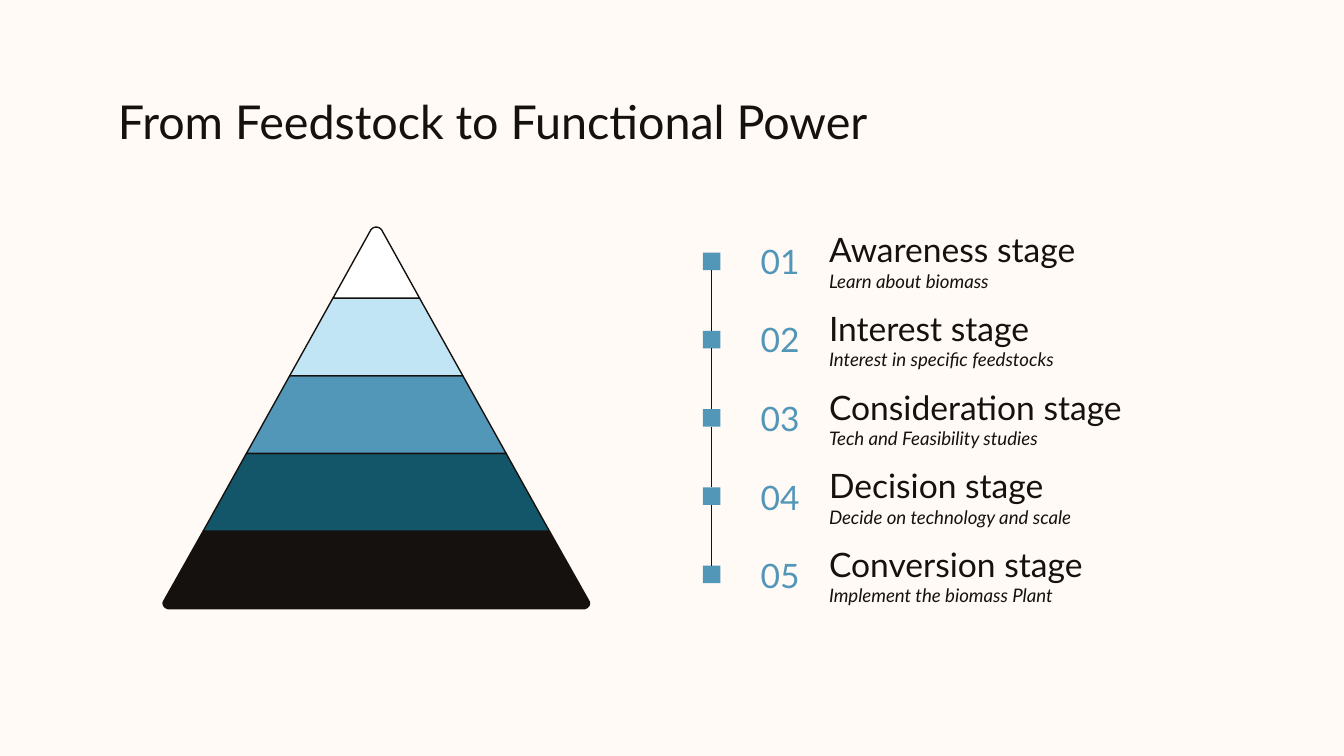
from dataclasses import dataclass

import pptx
import pptx.dml.color
import pptx.enum.shapes
import pptx.enum.text
import pptx.oxml
import pptx.oxml.ns
import pptx.util

Inches = pptx.util.Inches
Point = tuple[float, float]

INK, BLUE, CREAM = "15110E", "5296B8", "FFFAF6"
FONT = "Lato"
SLIDE_WIDTH = 10

# Pyramid geometry: where the straight sides would meet, and the base
CENTER, APEX, BASE, HALF_BASE = 2.8, 1.64, 4.53, 1.61
# Timeline geometry
FIRST_ROW, LAST_ROW, ROW_HEIGHT = 1.69, 4.03, 0.5
FIRST_MARKER, LAST_MARKER = 1.88, 4.21
MARKER_LEFT, MARKER_SIZE = 5.23, 0.13


@dataclass
class Stage:
    title: str
    detail: str
    band_fill: str


STAGES = [
    Stage("Awareness stage", "Learn about biomass", "FFFFFF"),
    Stage("Interest stage", "Interest in specific feedstocks", "C2E5F5"),
    Stage("Consideration stage", "Tech and Feasibility studies", BLUE),
    Stage("Decision stage", "Decide on technology and scale", "135669"),
    Stage("Conversion stage", "Implement the biomass Plant", INK),
]


def paint(color_format, hex_color: str) -> None:
    color_format.rgb = pptx.dml.color.RGBColor.from_string(hex_color)


def fill_with(target, hex_color: str) -> None:
    target.fill.solid()
    paint(target.fill.fore_color, hex_color)


def add_text(slide, text: str, left: float, top: float, width: float, height: float, *,
             size: float, color: str = INK, align: str = "LEFT",
             anchor: str = "MIDDLE", detail: str = "") -> None:
    """Add a text box, with an optional small italic line below the text."""
    box = slide.shapes.add_textbox(Inches(left), Inches(top), Inches(width), Inches(height))
    frame = box.text_frame
    frame.word_wrap = True
    frame.margin_top = frame.margin_bottom = Inches(0.1)
    frame.vertical_anchor = pptx.enum.text.MSO_ANCHOR[anchor]
    frame.text = f"{text}\n{detail}" if detail else text
    for index, paragraph in enumerate(frame.paragraphs):
        paragraph.alignment = pptx.enum.text.PP_ALIGN[align]
        for run in paragraph.runs:
            run.font.name = FONT
            run.font.size = pptx.util.Pt(10 if index else size)
            run.font.italic = index > 0
            paint(run.font.color, color)


def curve(start: Point, pull_a: Point, pull_b: Point, end: Point, steps: int = 12) -> list[Point]:
    """Sample a cubic Bézier curve."""
    points = []
    for step in range(steps + 1):
        t = step / steps
        weights = ((1 - t) ** 3, 3 * t * (1 - t) ** 2, 3 * t * t * (1 - t), t ** 3)
        points.append(tuple(sum(w * p[axis] for w, p in zip(weights, (start, pull_a, pull_b, end)))
                            for axis in (0, 1)))
    return points


def edge(level: int) -> Point:
    """Half width and height on the slide of a boundary between bands."""
    share = level / len(STAGES)
    return HALF_BASE * share, APEX + (BASE - APEX) * share


def add_band(slide, level: int, hex_color: str) -> None:
    """Draw one band from its right side and the mirrored left side."""
    upper, lower = [edge(level)], [edge(level + 1)]
    if level == 0:
        upper = curve((0, 1.69), (0.02, 1.69), (0.03, 1.7), (0.04, 1.71))
    if level == len(STAGES) - 1:
        lower = curve((1.58, 4.47), (1.6, 4.5), (1.57, 4.53), (1.54, 4.53))
    right = upper + lower
    outline = [(CENTER + x, y) for x, y in right] + [(CENTER - x, y) for x, y in reversed(right)]
    corners = [(Inches(x), Inches(y)) for x, y in outline]
    builder = slide.shapes.build_freeform(*corners[0])
    builder.add_line_segments(corners[1:], close=True)
    band = builder.convert_to_shape()
    band.shadow.inherit = False
    fill_with(band, hex_color)
    paint(band.line.color, INK)
    band.line.width = pptx.util.Pt(0.75)


def add_marker(slide, top: float) -> None:
    marker = slide.shapes.add_shape(
        pptx.enum.shapes.MSO_SHAPE.RECTANGLE,
        Inches(MARKER_LEFT), Inches(top), Inches(MARKER_SIZE), Inches(MARKER_SIZE))
    marker.shadow.inherit = False
    fill_with(marker, BLUE)
    marker.line.fill.background()


def add_link(slide, top: float, bottom: float) -> None:
    x = Inches(MARKER_LEFT + MARKER_SIZE / 2)
    link = slide.shapes.add_connector(
        pptx.enum.shapes.MSO_CONNECTOR.STRAIGHT, x, Inches(top), x, Inches(bottom))
    paint(link.line.color, INK)
    link.line.width = pptx.util.Pt(0.75)
    properties = link._element.spPr
    properties.append(pptx.oxml.parse_xml(f"<a:effectLst {pptx.oxml.ns.nsdecls('a')}/>"))


def main() -> None:
    deck = pptx.Presentation()
    deck.slide_width, deck.slide_height = Inches(SLIDE_WIDTH), Inches(SLIDE_WIDTH * 9 / 16)
    slide = deck.slides.add_slide(deck.slide_layouts[6])
    fill_with(slide.background, CREAM)

    # Title
    add_text(slide, "From Feedstock to Functional Power", 0.78, 0.59, 8.44, 0.6,
             size=25, anchor="TOP")

    # Pyramid, from the base up
    for level, stage in reversed(list(enumerate(STAGES))):
        add_band(slide, level, stage.band_fill)

    # Numbered stages
    gaps = len(STAGES) - 1
    row_step = (LAST_ROW - FIRST_ROW) / gaps
    for index, stage in enumerate(STAGES):
        top = FIRST_ROW + index * row_step
        add_text(slide, f"{index + 1:02}", 5.53, top, 0.55, ROW_HEIGHT,
                 size=18, color=BLUE, align="CENTER")
        add_text(slide, stage.title, 6.07, top, 2.72, ROW_HEIGHT, size=18, detail=stage.detail)

    # Timeline markers, then the links between them
    marker_step = (LAST_MARKER - FIRST_MARKER) / gaps
    marker_tops = [FIRST_MARKER + index * marker_step for index in range(len(STAGES))]
    for top in marker_tops:
        add_marker(slide, top)
    for top, next_top in zip(marker_tops, marker_tops[1:]):
        add_link(slide, top + MARKER_SIZE, next_top)

    deck.save("out.pptx")


if __name__ == "__main__":
    main()
